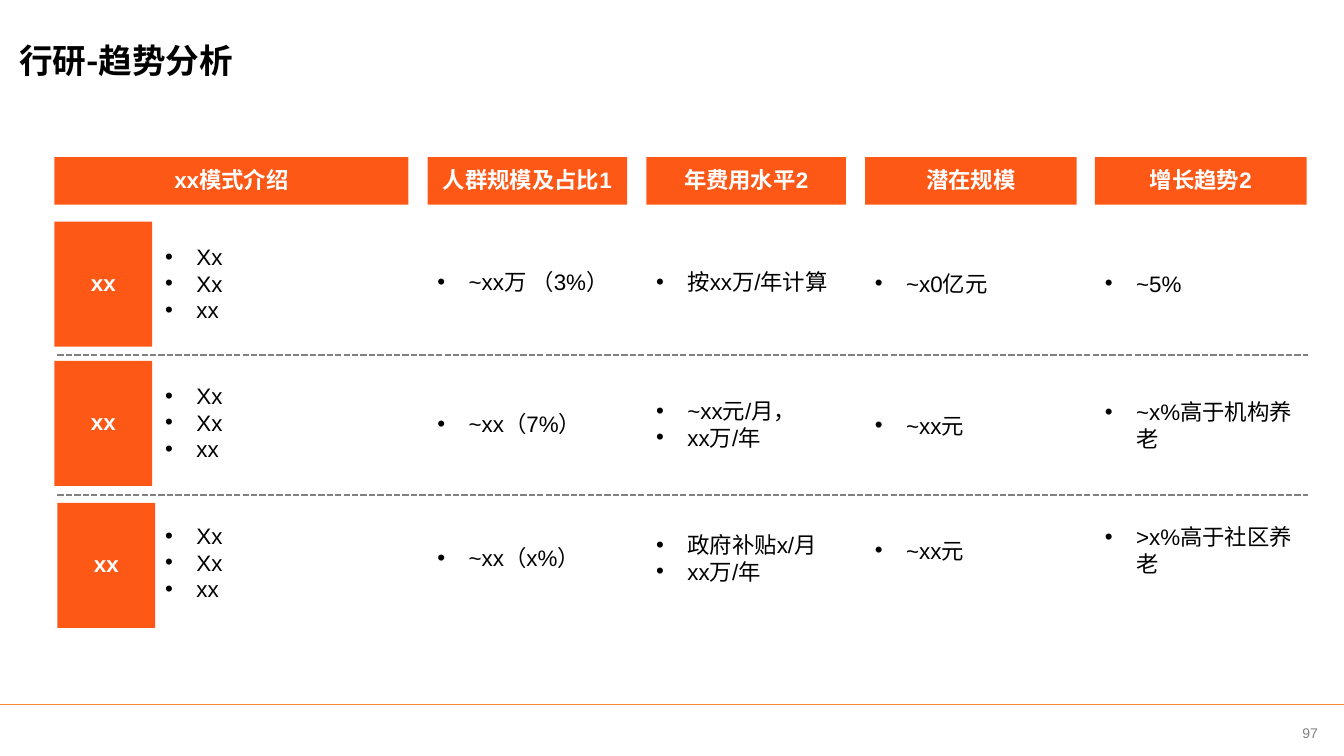
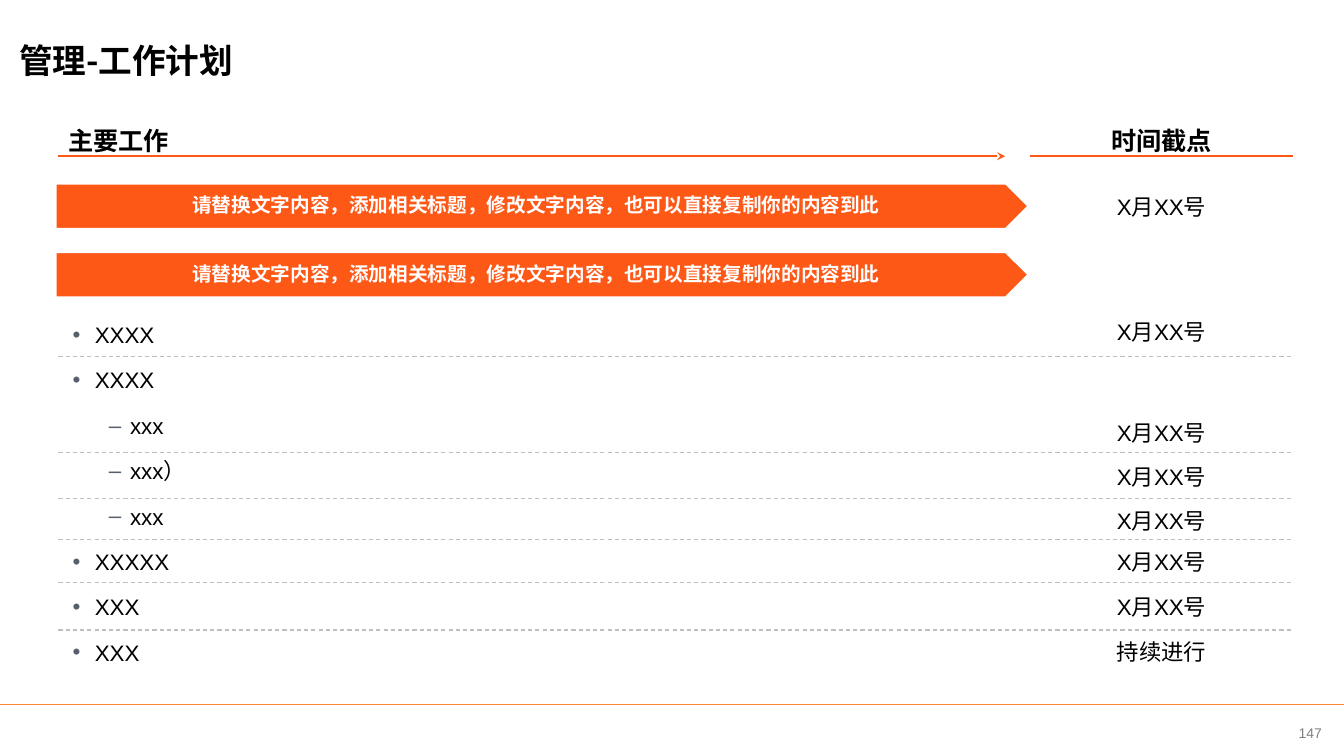
from dataclasses import dataclass
from typing import Optional

import pptx
import pptx.dml.color
import pptx.enum.dml
import pptx.enum.shapes
import pptx.enum.text
import pptx.oxml.ns
import pptx.presentation
import pptx.shapes.autoshape
import pptx.shapes.connector
import pptx.slide
import pptx.text.text
import pptx.util
from lxml import etree

Inches = pptx.util.Inches
Pt = pptx.util.Pt
qn = pptx.oxml.ns.qn
Align = pptx.enum.text.PP_ALIGN
Anchor = pptx.enum.text.MSO_ANCHOR
Shape = pptx.enum.shapes.MSO_SHAPE
Dash = pptx.enum.dml.MSO_LINE


@dataclass(frozen=True)
class Theme:
    accent: str = "FE5817"
    footer_rule: str = "FE8637"
    ink: str = "000000"
    paper: str = "FFFFFF"
    gray: str = "808080"
    pale: str = "BFBFBF"
    bullet: str = "575F6D"
    latin: str = "Arial"
    asian: str = "Noto Sans CJK SC"
    title_size: int = 24
    heading_size: int = 18
    body_size: int = 16
    banner_size: int = 14
    number_size: int = 10


THEME = Theme()


@dataclass(frozen=True)
class Style:
    size: int = THEME.body_size
    color: str = THEME.ink
    bold: bool = False
    align: pptx.enum.text.PP_ALIGN = Align.LEFT
    latin: str = THEME.latin
    spacing: Optional[float | pptx.util.Length] = None
    after: int = 0


@dataclass(frozen=True)
class Bullet:
    char: str
    margin: float
    hanging: float
    color: Optional[str] = None
    level: int = 0
    tab: Optional[float] = None


@dataclass(frozen=True)
class Frame:
    """Left, top, width and height in inches."""
    left: float
    top: float
    width: float
    height: float


@dataclass(frozen=True)
class Column:
    header: str
    left: float
    width: float
    tops: tuple[float, ...]
    height: float
    cells: tuple[tuple[str, ...], ...]
    text_left: Optional[float] = None
    text_width: Optional[float] = None
    fixed_spacing: bool = True
    wrap: bool = True


@dataclass(frozen=True)
class Deadline:
    text: str
    top: float


BODY = Style()
LOOSE_BODY = Style(spacing=Pt(19))
CENTERED = Style(align=Align.CENTER)
TITLE = Style(THEME.title_size, bold=True, latin=THEME.asian)
NUMBER = Style(THEME.number_size, THEME.gray, align=Align.CENTER)
BLOCK = Style(color=THEME.paper, bold=True, align=Align.CENTER, spacing=0.9, after=10)
BANNER = Style(THEME.banner_size, THEME.paper, True, Align.CENTER, spacing=0.9, after=10)

CELL_BULLET = Bullet("•", 0.31, 0.31)
TASK_BULLET = Bullet("•", 0.36, 0.22, THEME.bullet, 1)
STEP_BULLET = Bullet("–", 0.71, 0.21, THEME.bullet, 2, 1.08)

INSETS = (0.1, 0.05, 0.1, 0.05)
NO_INSETS = (0, 0, 0, 0)


# Shared drawing functions
def rgb(value: str) -> pptx.dml.color.RGBColor:
    return pptx.dml.color.RGBColor.from_string(value)


def add_bullet(para: pptx.text.text._Paragraph, bullet: Bullet) -> None:
    para.level = bullet.level
    props = para._p.get_or_add_pPr()
    props.set("marL", str(Inches(bullet.margin)))
    props.set("indent", str(-Inches(bullet.hanging)))
    if bullet.color:
        color = etree.SubElement(props, qn("a:buClr"))
        etree.SubElement(color, qn("a:srgbClr"), val=bullet.color)
    etree.SubElement(props, qn("a:buFont"), typeface=THEME.latin)
    etree.SubElement(props, qn("a:buChar"), char=bullet.char)
    if bullet.tab:
        tabs = etree.SubElement(props, qn("a:tabLst"))
        etree.SubElement(tabs, qn("a:tab"), pos=str(Inches(bullet.tab)), algn="l")


def write_text(shape: pptx.shapes.autoshape.Shape, lines: tuple[str, ...], style: Style,
               bullet: Optional[Bullet] = None, insets: tuple = INSETS,
               anchor: pptx.enum.text.MSO_ANCHOR = Anchor.MIDDLE, wrap: bool = True) -> None:
    frame = shape.text_frame
    frame.word_wrap = wrap
    frame.vertical_anchor = anchor
    (frame.margin_left, frame.margin_top,
     frame.margin_right, frame.margin_bottom) = map(Inches, insets)
    for index, line in enumerate(lines):
        para = frame.paragraphs[0] if index == 0 else frame.add_paragraph()
        para.text = line
        if bullet:
            add_bullet(para, bullet)
        para.alignment = style.align
        if style.spacing:
            para.line_spacing = style.spacing
        if style.after:
            para.space_after = Pt(style.after)
        font = para.font
        font.size = Pt(style.size)
        font.bold = style.bold
        font.color.rgb = rgb(style.color)
        font.name = style.latin
        defaults = para._p.pPr.find(qn("a:defRPr"))
        etree.SubElement(defaults, qn("a:ea"), typeface=THEME.asian)


def place(frame: Frame) -> tuple[pptx.util.Length, ...]:
    return tuple(map(Inches, (frame.left, frame.top, frame.width, frame.height)))


def add_text(page: pptx.slide.Slide, frame: Frame, lines: tuple[str, ...],
             style: Style = BODY, **options) -> None:
    write_text(page.shapes.add_textbox(*place(frame)), lines, style, **options)


def add_block(page: pptx.slide.Slide, frame: Frame, text: str, style: Style = BLOCK,
              kind: pptx.enum.shapes.MSO_SHAPE = Shape.RECTANGLE,
              outline: Optional[str] = None) -> None:
    block = page.shapes.add_shape(kind, *place(frame))
    block.shadow.inherit = False
    block.fill.solid()
    block.fill.fore_color.rgb = rgb(THEME.accent)
    if outline:
        block.line.color.rgb = rgb(outline)
        block.line.width = Pt(1.5)
    else:
        block.line.fill.background()
    write_text(block, (text,), style)


def add_rule(page: pptx.slide.Slide, left: float, right: float, top: float, color: str,
             weight: float, dash: Optional[pptx.enum.dml.MSO_LINE] = None,
             arrow: bool = False) -> None:
    rule = page.shapes.add_connector(
        pptx.enum.shapes.MSO_CONNECTOR.STRAIGHT,
        Inches(left), Inches(top), Inches(right), Inches(top))
    rule.line.color.rgb = rgb(color)
    rule.line.width = Pt(weight)
    if dash:
        rule.line.dash_style = dash
    if arrow:
        etree.SubElement(rule.line._get_or_add_ln(), qn("a:tailEnd"), type="stealth")
    etree.SubElement(rule._element.spPr, qn("a:effectLst"))


def add_page(deck: pptx.presentation.Presentation, title: str, number: str) -> pptx.slide.Slide:
    page = deck.slides.add_slide(deck.slide_layouts[6])
    add_text(page, Frame(12.66, 7.04, 0.67, 0.46), (number,), NUMBER, insets=NO_INSETS)
    add_rule(page, 0, 13.33, 6.99, THEME.footer_rule, 1)
    add_text(page, Frame(0.19, 0.2, 11.96, 0.79), (title,), TITLE, insets=NO_INSETS)
    return page


# Trend analysis
OUTER_TOPS = (2.3, 3.71, 4.95)
INNER_TOPS = (2.48, 3.89, 5.22)
COLUMNS = (
    Column("xx模式介绍", 0.54, 3.51, (2.3, 3.68, 5.07), 1.02,
           (("Xx", "Xx", "xx"),) * 3, text_left=1.54, text_width=2.51),
    Column("人群规模及占比1", 4.24, 1.98, INNER_TOPS, 0.63,
           (("~xx万 （3%）",), ("~xx（7%）",), ("~xx（x%）",)),
           fixed_spacing=False, wrap=False),
    Column("年费用水平2", 6.41, 1.98, INNER_TOPS, 0.63,
           (("按xx万/年计算",), ("~xx元/月，", "xx万/年"), ("政府补贴x/月", "xx万/年")),
           fixed_spacing=False),
    Column("潜在规模", 8.58, 2.1, OUTER_TOPS, 1.02,
           (("~x0亿元",), ("~xx元",), ("~xx元",))),
    Column("增长趋势2", 10.86, 2.1, OUTER_TOPS, 1.02,
           (("~5%",), ("~x%高于机构养老",), (">x%高于社区养老",))),
)
ROW_LABELS = ((0.54, 2.2), (0.54, 3.58), (0.57, 4.99))


def build_trends(deck: pptx.presentation.Presentation) -> None:
    page = add_page(deck, "行研-趋势分析", "97")
    for top in (3.52, 4.91):
        add_rule(page, 0.57, 12.97, top, THEME.gray, 1.5, Dash.SQUARE_DOT)
    for left, top in ROW_LABELS:
        add_block(page, Frame(left, top, 0.97, 1.24), "xx")
    for column in COLUMNS:
        add_block(page, Frame(column.left, 1.56, column.width, 0.47), column.header)
        for top, lines in zip(column.tops, column.cells):
            frame = Frame(column.text_left or column.left, top,
                          column.text_width or column.width, column.height)
            add_text(page, frame, lines, LOOSE_BODY if column.fixed_spacing else BODY,
                     bullet=CELL_BULLET, wrap=column.wrap)


# Work plan
WORK_LEFT, WORK_WIDTH = 0.58, 9.65
DATE_LEFT, DATE_WIDTH = 10.22, 2.6
PLAN_RIGHT = DATE_LEFT + DATE_WIDTH
BANNER_TEXT = "请替换文字内容，添加相关标题，修改文字内容，也可以直接复制你的内容到此"
TASKS = (
    ("XXXX", TASK_BULLET), ("XXXX", TASK_BULLET),
    ("xxx", STEP_BULLET), ("xxx）", STEP_BULLET), ("xxx", STEP_BULLET),
    ("XXXXX", TASK_BULLET), ("XXX", TASK_BULLET), ("XXX", TASK_BULLET),
)
DEADLINES = (
    *(Deadline("X月XX号", top) for top in (1.86, 3.1, 4.11, 4.54, 4.98, 5.39, 5.83)),
    Deadline("持续进行", 6.28),
)


def build_plan(deck: pptx.presentation.Presentation) -> None:
    page = add_page(deck, "管理-工作计划", "147")
    # Column headings
    for text, left, width, right, align, arrow in (
            ("主要工作", WORK_LEFT, 2.87, 9.97, Align.LEFT, True),
            ("时间截点", DATE_LEFT, DATE_WIDTH, PLAN_RIGHT, Align.CENTER, False)):
        add_text(page, Frame(left, 1.24, width, 0.3), (text,),
                 Style(THEME.heading_size, bold=True, align=align),
                 insets=(0.1, 0, 0.1, 0), anchor=Anchor.TOP)
        add_rule(page, left, right, 1.55, THEME.accent, 1.5, arrow=arrow)
    # Banners, tasks and deadlines
    for top in (1.82, 2.5):
        add_block(page, Frame(0.55, top, WORK_WIDTH, 0.45), BANNER_TEXT, BANNER,
                  Shape.PENTAGON, THEME.paper)
    for index, (text, bullet) in enumerate(TASKS):
        add_text(page, Frame(WORK_LEFT, 3.1 + 0.45 * index, WORK_WIDTH, 0.44), (text,),
                 bullet=bullet, insets=(0, 0.05, 0, 0.05))
    for deadline in DEADLINES:
        add_text(page, Frame(DATE_LEFT, deadline.top, DATE_WIDTH, 0.37),
                 (deadline.text,), CENTERED)
    for top in (3.54, 4.49, 4.95, 5.35, 5.78, 6.25):
        add_rule(page, WORK_LEFT, PLAN_RIGHT, top, THEME.pale, 0.75, Dash.DASH)


def main() -> None:
    deck = pptx.Presentation()
    deck.slide_width, deck.slide_height = Inches(13.33), Inches(7.5)
    build_trends(deck)
    build_plan(deck)
    deck.save("out.pptx")


if __name__ == "__main__":
    main()
